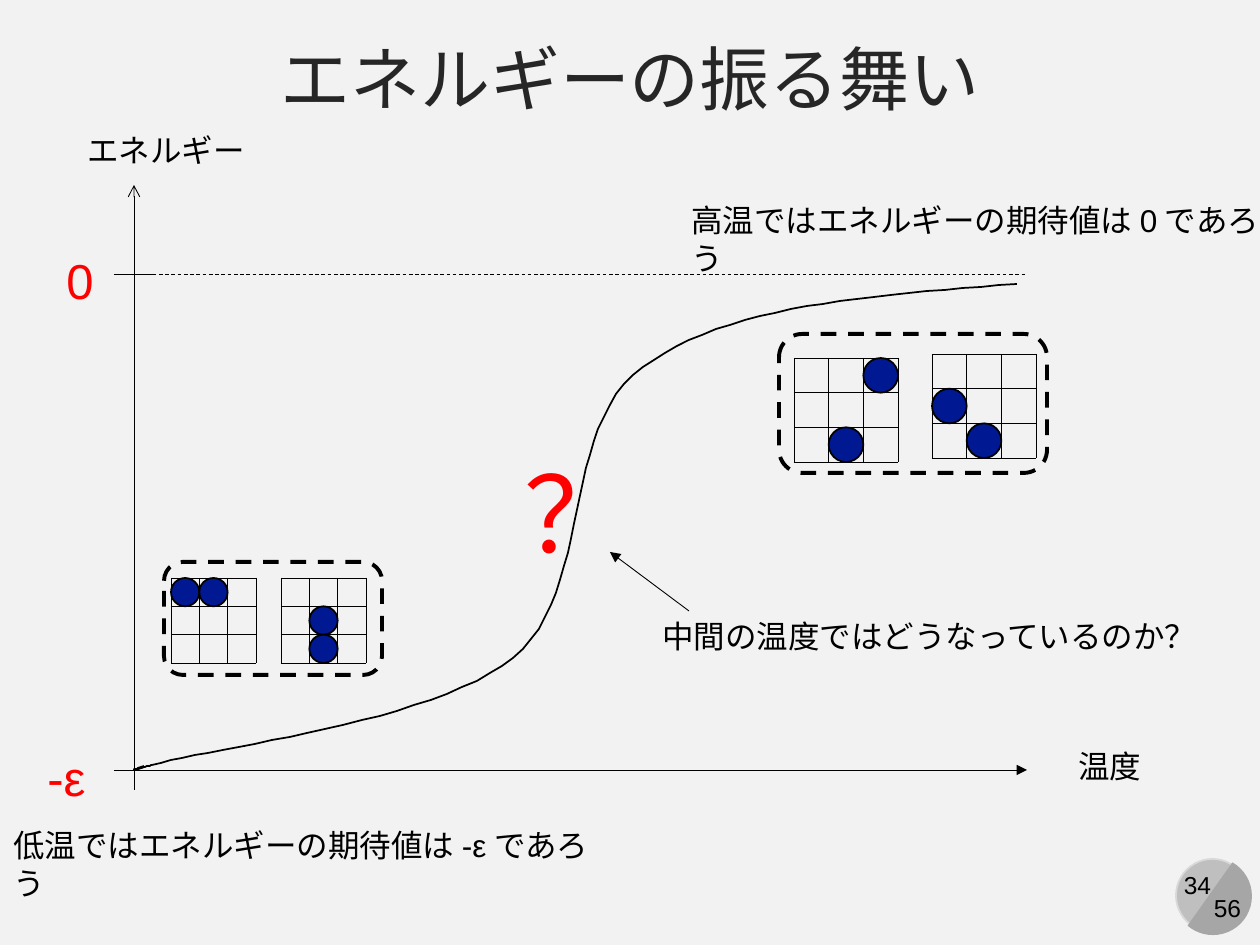
import pptx
import pptx.dml.color
import pptx.enum.dml
import pptx.enum.shapes
import pptx.enum.text
import pptx.oxml
import pptx.oxml.ns
import pptx.util

RGBColor = pptx.dml.color.RGBColor
BLACK = RGBColor(0x00, 0x00, 0x00)
RED = RGBColor(0xFF, 0x00, 0x00)
NAVY = RGBColor(0x01, 0x18, 0x93)
TITLE_GREY = RGBColor(0x26, 0x26, 0x26)
BACKGROUND = RGBColor(0xF2, 0xF2, 0xF2)
BADGE_LIGHT = RGBColor(0xBF, 0xBF, 0xBF)
BADGE_DARK = RGBColor(0xA6, 0xA6, 0xA6)
BADGE_EDGE = RGBColor(0xD9, 0xD9, 0xD9)

SHAPE = pptx.enum.shapes.MSO_SHAPE
DASH = pptx.enum.dml.MSO_LINE.DASH
CENTER = pptx.enum.text.PP_ALIGN.CENTER
MIDDLE = pptx.enum.text.MSO_ANCHOR.MIDDLE
EMU_PER_PX = 914400 / 126


def px(length):
    return pptx.util.Emu(round(length * EMU_PER_PX))


def bezier(start, control1, control2, end, steps=24):
    """Points along a cubic curve, without its start."""
    points = []
    for step in range(1, steps + 1):
        t = step / steps
        weights = ((1 - t) ** 3, 3 * t * (1 - t) ** 2, 3 * t * t * (1 - t), t ** 3)
        corners = (start, control1, control2, end)
        points.append(tuple(sum(w * c[axis] for w, c in zip(weights, corners))
                            for axis in (0, 1)))
    return points


class Canvas:
    font = "Arial"
    thin, medium, thick = 0.5, 1, 2.25

    def __init__(self, slide):
        self.slide = slide
        self.shapes = slide.shapes

    def open_group(self):
        self.shapes = self.slide.shapes.add_group_shape().shapes

    def close_group(self):
        self.shapes = self.slide.shapes

    def outline(self, line, width, color=BLACK, dash=None):
        line.color.rgb = color
        line.width = pptx.util.Pt(width)
        if dash:
            line.dash_style = dash

    def text(self, wording, left, top, width, height, size=18, color=BLACK,
             wrap=False, align=None, anchor=None, space_before=None):
        box = self.shapes.add_textbox(px(left), px(top), px(width), px(height))
        frame = box.text_frame
        frame.word_wrap = wrap
        if anchor is not None:
            frame.vertical_anchor = anchor
        paragraph = frame.paragraphs[0]
        if align is not None:
            paragraph.alignment = align
        if space_before:
            paragraph.space_before = pptx.util.Pt(space_before)
        run = paragraph.add_run()
        run.text = wording
        run.font.name = self.font
        run.font.size = pptx.util.Pt(size)
        run.font.color.rgb = color

    def line(self, x1, y1, x2, y2, dash=None, arrow=None):
        connector = self.shapes.add_connector(
            pptx.enum.shapes.MSO_CONNECTOR.STRAIGHT, px(x1), px(y1), px(x2), px(y2))
        self.outline(connector.line, self.thin, dash=dash)
        if arrow:
            tail = pptx.oxml.parse_xml(
                f'<a:tailEnd {pptx.oxml.ns.nsdecls("a")} type="{arrow}"/>')
            connector.line._get_or_add_ln().append(tail)
        connector._element.spPr.append(
            pptx.oxml.parse_xml(f'<a:effectLst {pptx.oxml.ns.nsdecls("a")}/>'))

    def shape(self, kind, left, top, width, height, fill=None, line_width=None,
              line_color=BLACK, dash=None):
        shape = self.shapes.add_shape(kind, px(left), px(top), px(width), px(height))
        shape.shadow.inherit = False
        if fill is None:
            shape.fill.background()
        else:
            shape.fill.solid()
            shape.fill.fore_color.rgb = fill
        if line_width is None:
            shape.line.fill.background()
        else:
            self.outline(shape.line, line_width, line_color, dash)
        return shape

    def curve(self, start, *segments):
        points = [start]
        for segment in segments:
            points += bezier(points[-1], *segment)
        builder = self.shapes.build_freeform(*start, scale=EMU_PER_PX)
        builder.add_line_segments(points[1:], close=False)
        shape = builder.convert_to_shape()
        shape.shadow.inherit = False
        shape.fill.background()
        self.outline(shape.line, self.medium)

    def lattice(self, left, top, size, particles):
        """A 3 by 3 grid with particles in the given (column, row) cells."""
        cell = size / 3
        for index in range(4):
            x = left + index * cell
            self.line(x, top, x, top + size)
        for index in range(4):
            y = top + index * cell
            self.line(left, y, left + size, y)
        for column, row in particles:
            self.shape(SHAPE.OVAL, left + column * cell, top + row * cell,
                       cell, cell, NAVY, self.medium)

    def states(self, frame, size, lattices):
        """A dashed frame around several lattices."""
        self.open_group()
        for left, top, particles in lattices:
            self.lattice(left, top, size, particles)
        self.shape(SHAPE.ROUNDED_RECTANGLE, *frame, line_width=self.thick, dash=DASH)
        self.close_group()


def main():
    presentation = pptx.Presentation()
    presentation.slide_width = px(1260)
    presentation.slide_height = px(945)
    slide = presentation.slides.add_slide(presentation.slide_layouts[6])
    slide.background.fill.solid()
    slide.background.fill.fore_color.rgb = BACKGROUND
    canvas = Canvas(slide)

    # Page badge
    canvas.shape(SHAPE.OVAL, 1176, 859, 73, 73, BADGE_LIGHT, 1, BADGE_EDGE)
    canvas.text("34", 1170, 864, 55, 43, 14, align=CENTER)
    chord = canvas.shape(SHAPE.CHORD, 1174, 857, 78, 78, BADGE_DARK)
    chord.adjustments[0], chord.adjustments[1] = 27, 141.42
    chord.rotation = 255
    canvas.text("56", 1201, 887, 53, 43, 14, align=CENTER)

    canvas.text("エネルギーの振る舞い", 0, 26, 1260, 103, 40, TITLE_GREY,
                wrap=True, align=CENTER, anchor=MIDDLE, space_before=10)

    # Axes and energy curve
    canvas.line(114, 770, 1027, 770, arrow="triangle")
    canvas.line(134, 790, 134, 185, arrow="arrow")
    canvas.text("温度", 1066, 741, 89, 50)
    canvas.text("エネルギー", 75, 125, 184, 50)
    canvas.text("-ε", 35, 741, 69, 72, 28, RED, wrap=True)
    canvas.curve((144, 766),
                 ((117, 775), (152, 765), (152, 765)),
                 ((214, 747), (432, 723), (513, 658)),
                 ((595, 591), (558, 428), (643, 367)),
                 ((726, 305), (872, 295), (1017, 284)))
    canvas.line(114, 274, 154, 274)
    canvas.line(134, 274, 1027, 274, dash=DASH)
    canvas.text("0", 54, 244, 69, 72, 28, RED, wrap=True)

    # Low and high temperature
    canvas.states((164, 562, 218, 113), 85,
                  [(171, 578, [(0, 0), (1, 0)]), (281, 578, [(1, 1), (1, 2)])])
    canvas.text("低温ではエネルギーの期待値は-εであろう", 1, 820, 622, 50, wrap=True)
    canvas.states((779, 334, 268, 139), 104,
                  [(794, 358, [(2, 0), (1, 2)]), (932, 354, [(0, 1), (1, 2)])])
    canvas.text("高温ではエネルギーの期待値は0であろう", 679, 195, 616, 50, wrap=True)

    # Middle temperature
    canvas.text("中間の温度ではどうなっているのか？", 650, 611, 566, 50)
    canvas.line(689, 611, 610, 552, arrow="triangle")
    canvas.text("？", 512, 442, 131, 140, 60, RED)

    presentation.save("out.pptx")


if __name__ == "__main__":
    main()
